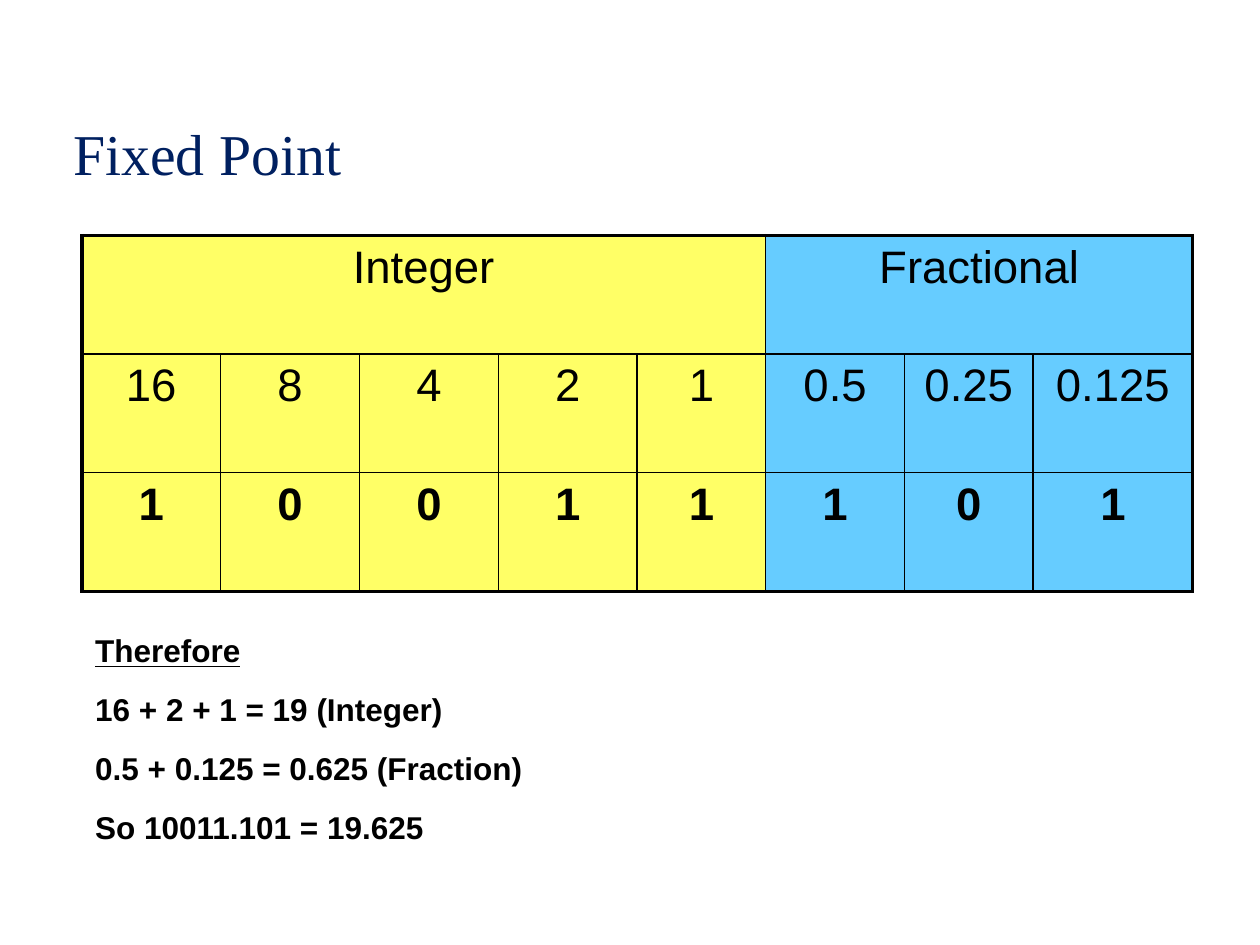
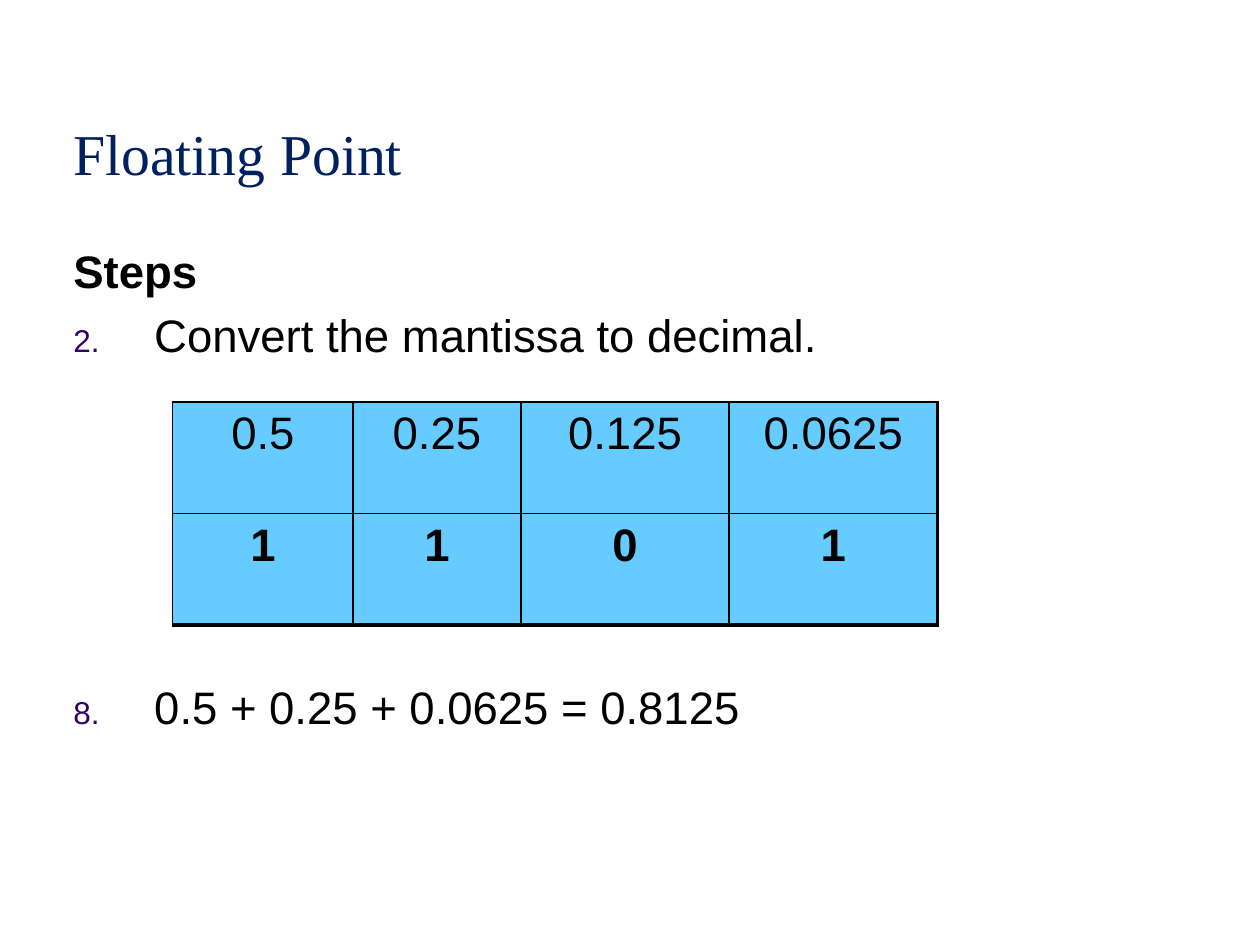
from lxml.etree import SubElement
from pptx import Presentation
from pptx.dml.color import RGBColor as Color
from pptx.enum.text import MSO_ANCHOR as Anchor, PP_ALIGN as Align
from pptx.oxml.ns import qn
from pptx.util import Cm, Pt

COLORS = {
    "title": "002060",
    "text": "000000",
    "number": "330066",
    "border": "000000",
    "integer": "FFFF66",
    "fraction": "66CCFF",
}
FORMATS = {
    "title": {"name": "Times New Roman", "size": Pt(33)},
    "body": {"name": "Arial", "size": Pt(26)},
    "heading": {"name": "Arial", "size": Pt(26), "bold": True},
    "number": {"name": "Arial", "size": Pt(18)},
    "result": {"name": "Arial", "size": Pt(18), "bold": True},
    "result heading": {"name": "Arial", "size": Pt(18), "bold": True, "underline": True},
}
LEFT = 1.48
NUMBER_TAB = Cm(1.63)
THIN, THICK = Pt(1), Pt(2.25)


def add_run(paragraph, text, style, color="text"):
    run = paragraph.add_run()
    run.text = text
    for name, value in FORMATS[style].items():
        setattr(run.font, name, value)
    run.font.color.rgb = Color.from_string(COLORS[color])


def add_text_box(slide, left, top, width, height, inset=0, anchor=Anchor.TOP):
    frame = slide.shapes.add_textbox(Cm(left), Cm(top), Cm(width), Cm(height)).text_frame
    settings = {
        "word_wrap": True, "vertical_anchor": anchor,
        "margin_left": 0, "margin_right": 0, "margin_top": Cm(inset), "margin_bottom": 0,
    }
    for name, value in settings.items():
        setattr(frame, name, value)
    return frame


def add_title(slide, text):
    frame = add_text_box(slide, LEFT, 2.2, 12, 1.73, 0.03, Anchor.MIDDLE)
    add_run(frame.paragraphs[0], text, "title", "title")


def add_step(paragraph, number, text):
    properties = paragraph._p.get_or_add_pPr()
    tabs = SubElement(properties, qn("a:tabLst"))
    SubElement(tabs, qn("a:tab"), pos=str(NUMBER_TAB), algn="l")
    add_run(paragraph, f"{number}.\t", "number", "number")
    add_run(paragraph, text, "body")


def set_borders(cell, widths):
    properties = cell._tc.get_or_add_tcPr()
    for side in "LRTB":
        line = SubElement(properties, qn(f"a:ln{side}"), w=str(widths[side]))
        fill = SubElement(line, qn("a:solidFill"))
        SubElement(fill, qn("a:srgbClr"), val=COLORS["border"])


def fill_cell(cell, text, color, style, widths):
    set_borders(cell, widths)
    cell.fill.solid()
    cell.fill.fore_color.rgb = Color.from_string(COLORS[color])
    for name, value in {"left": 0, "right": 0, "top": Cm(0.13), "bottom": 0}.items():
        setattr(cell, f"margin_{name}", value)
    paragraph = cell.text_frame.paragraphs[0]
    paragraph.alignment = Align.CENTER
    add_run(paragraph, text, style)


def add_bit_table(slide, left, top, column_widths, row_height, rows, colors, outer, spans=()):
    row_count, column_count = len(rows), len(column_widths)
    table = slide.shapes.add_table(
        row_count, column_count, Cm(left), Cm(top),
        Cm(sum(column_widths)), Cm(row_height * row_count)).table
    table.first_row = table.horz_banding = False
    for column, width in zip(table.columns, column_widths):
        column.width = Cm(width)
    for row in table.rows:
        row.height = Cm(row_height)
    for first, last in spans:
        table.cell(0, first).merge(table.cell(0, last))
    for row, texts in enumerate(rows):
        style = "heading" if row == row_count - 1 else "body"
        for column, text in enumerate(texts):
            cell = table.cell(row, column)
            if cell.is_spanned:
                continue
            last = column + (cell.span_width if cell.is_merge_origin else 1)
            on_edge = {
                "L": column == 0, "R": last == column_count,
                "T": row == 0, "B": row == row_count - 1,
            }
            widths = {side: outer[side] if edge else THIN for side, edge in on_edge.items()}
            fill_cell(cell, text, colors[column], style, widths)


def build_fixed_point(slide):
    add_title(slide, "Fixed Point")
    add_bit_table(
        slide, 1.65, 4.75, [2.8, 2.8, 2.8, 2.8, 2.59, 2.8, 2.59, 3.22], 2.39,
        [["Integer", "", "", "", "", "Fractional", "", ""],
         ["16", "8", "4", "2", "1", "0.5", "0.25", "0.125"],
         list("10011101")],
        ["integer"] * 5 + ["fraction"] * 3,
        dict.fromkeys("LRTB", THICK), [(0, 4), (5, 7)])
    frame = add_text_box(slide, 1.92, 12.3, 10, 4.7, 0.43)
    add_run(frame.paragraphs[0], "Therefore", "result heading")
    for text in ("16 + 2 + 1 = 19 (Integer)",
                 "0.5 + 0.125 = 0.625 (Fraction)",
                 "So 10011.101 = 19.625"):
        paragraph = frame.add_paragraph()
        paragraph.space_before = Pt(12)
        add_run(paragraph, text, "result")


def build_floating_point(slide):
    add_title(slide, "Floating Point")
    frame = add_text_box(slide, LEFT, 4.72, 16, 2.6, 0.18)
    add_run(frame.paragraphs[0], "Steps", "heading")
    paragraph = frame.add_paragraph()
    paragraph.space_before = Pt(5.4)
    add_step(paragraph, 2, "Convert the mantissa to decimal.")
    frame = add_text_box(slide, LEFT, 13.65, 14.5, 1.17, 0.03)
    add_step(frame.paragraphs[0], 8, "0.5 + 0.25 + 0.0625 = 0.8125")
    add_bit_table(
        slide, 3.48, 8.1, [3.64, 3.38, 4.2, 4.2], 2.25,
        [["0.5", "0.25", "0.125", "0.0625"], list("1101")],
        ["fraction"] * 4,
        {"L": THIN, "R": THICK, "T": THIN, "B": THICK})


def main():
    presentation = Presentation()
    presentation.slide_width, presentation.slide_height = Cm(25.4), Cm(19.05)
    for build in (build_fixed_point, build_floating_point):
        build(presentation.slides.add_slide(presentation.slide_layouts[6]))
    presentation.save("out.pptx")


if __name__ == "__main__":
    main()
